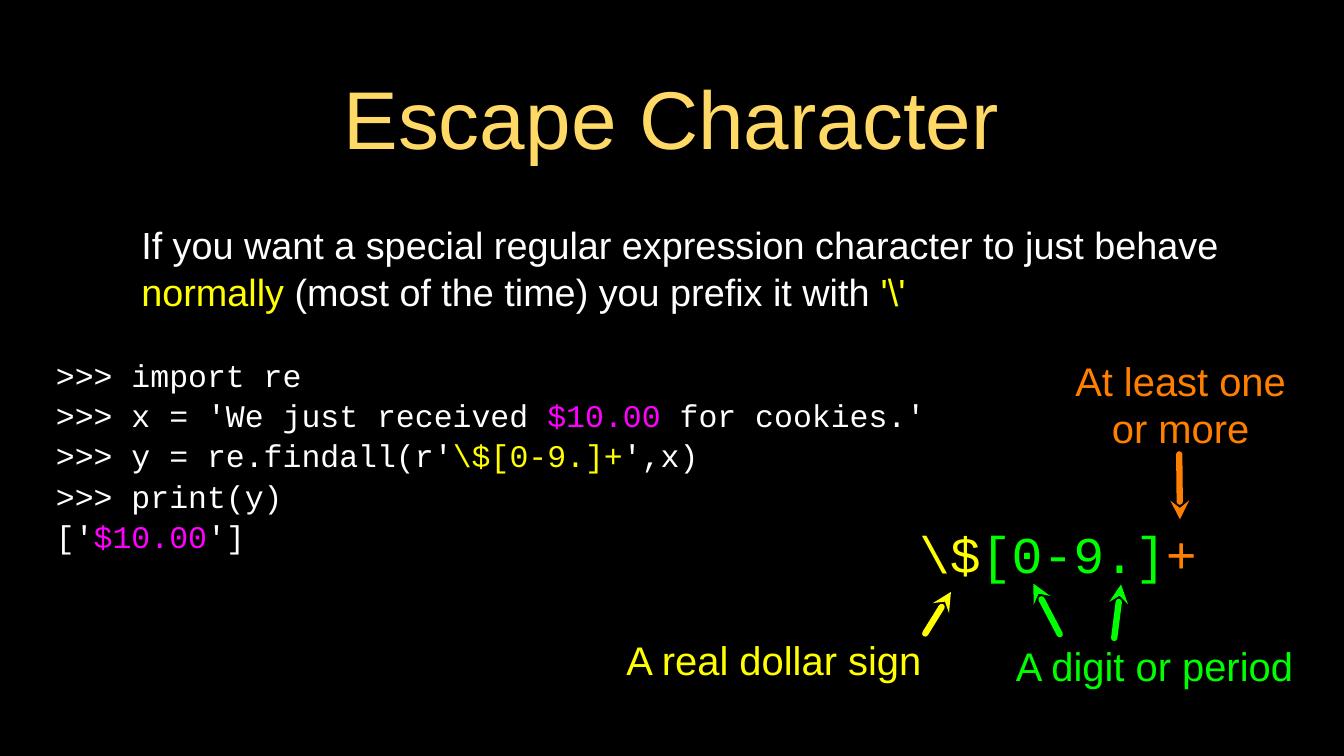
import pptx
import pptx.util
import pptx.dml.color
import pptx.enum.shapes
import pptx.enum.text
import pptx.oxml.ns
import lxml.etree

Inches = pptx.util.Inches
Align = pptx.enum.text.PP_ALIGN
Anchor = pptx.enum.text.MSO_ANCHOR

THEME = {
    "background": "000000", "title": "FFD966", "plain": "FFFFFF",
    "escape": "FFFF00", "match": "FF00FF", "set": "00FF00", "repeat": "FF7F00",
    "sans": "Arial", "mono": "Courier New",
    "title_size": 78, "body_size": 36, "code_size": 30, "pattern_size": 49, "label_size": 38,
    "arrow_width": 6,
}

TITLE = [[("Escape Character", "title")]]
BODY = [[
    ("If you want a special regular expression character to just behave ", "plain"),
    ("normally", "escape"),
    (" (most of the time) you prefix it with ", "plain"),
    (r"'\'", "escape"),
]]
CODE = [
    [(">>> import re", "plain")],
    [(">>> x = 'We just received ", "plain"), ("$10.00", "match"), (" for cookies.'", "plain")],
    [(">>> y = re.findall(r'", "plain"), (r"\$[0-9.]+", "escape"), ("',x)", "plain")],
    [(">>> print(y)", "plain")],
    [("['", "plain"), ("$10.00", "match"), ("']", "plain")],
]
PATTERN = [[(r"\$", "escape"), ("[0-9.]", "set"), ("+", "repeat")]]
LABELS = [
    ("A digit or period", "set", (13.18, 8.44, 4.19, 0.72)),
    ("A real dollar sign", "escape", (8.04, 8.37, 4.4, 0.72)),
    ("At least one or more", "repeat", (14.07, 4.68, 3.1, 1.33)),
]
ARROWS = [
    ("escape", (12.58, 7.83), (12.24, 8.38)),
    ("set", (13.67, 7.72), (14.02, 8.39)),
    ("set", (14.83, 7.73), (14.74, 8.44)),
    ("repeat", (15.61, 6.87), (15.6, 6.01)),
]


def color(name):
    return pptx.dml.color.RGBColor.from_string(THEME[name])


def add_text(slide, box, lines, style, font, align=Align.LEFT, anchor=Anchor.MIDDLE,
             insets=(0, 0, 0, 0), spacing=1.0):
    frame = slide.shapes.add_textbox(*map(Inches, box)).text_frame
    frame.word_wrap = True
    frame.vertical_anchor = anchor
    frame.margin_left, frame.margin_top, frame.margin_right, frame.margin_bottom = map(Inches, insets)
    for index, runs in enumerate(lines):
        paragraph = frame.add_paragraph() if index else frame.paragraphs[0]
        paragraph.alignment = align
        paragraph.line_spacing = spacing
        paragraph.font.name = THEME[font]
        paragraph.font.size = pptx.util.Pt(THEME[style])
        for text, tone in runs:
            run = paragraph.add_run()
            run.text = text
            run.font.color.rgb = color(tone)


def add_arrow(slide, tone, tip, tail):
    connector = slide.shapes.add_connector(
        pptx.enum.shapes.MSO_CONNECTOR.STRAIGHT, *map(Inches, tip + tail))
    connector.line.color.rgb = color(tone)
    connector.line.width = pptx.util.Pt(THEME["arrow_width"])
    qn = pptx.oxml.ns.qn
    line = connector.line._get_or_add_ln()
    line.set("cap", "rnd")
    lxml.etree.SubElement(line, qn("a:round"))
    lxml.etree.SubElement(line, qn("a:headEnd"), type="stealth", w="med", len="med")
    lxml.etree.SubElement(connector._element.spPr, qn("a:effectLst"))


def main():
    presentation = pptx.Presentation()
    presentation.slide_width, presentation.slide_height = Inches(17.78), Inches(10)
    slide = presentation.slides.add_slide(presentation.slide_layouts[6])
    slide.background.fill.solid()
    slide.background.fill.fore_color.rgb = color("background")

    add_text(slide, (1.26, 0.71, 15.24, 1.66), TITLE, "title_size", "sans", Align.CENTER,
             insets=(0.06, 0.06, 0.06, 0.06))
    add_text(slide, (1.26, 2.85, 15.24, 6.24), BODY, "body_size", "sans", anchor=Anchor.TOP,
             insets=(0.61, 0.06, 0.06, 0.06), spacing=1.04)
    add_text(slide, (0.74, 4.69, 11.84, 2.63), CODE, "code_size", "mono", spacing=1.07)
    add_text(slide, (12.16, 6.87, 3.69, 0.89), PATTERN, "pattern_size", "mono")
    for text, tone, box in LABELS:
        add_text(slide, box, [[(text, tone)]], "label_size", "sans", Align.CENTER)
    for arrow in ARROWS:
        add_arrow(slide, *arrow)
    presentation.save("out.pptx")


if __name__ == "__main__":
    main()
